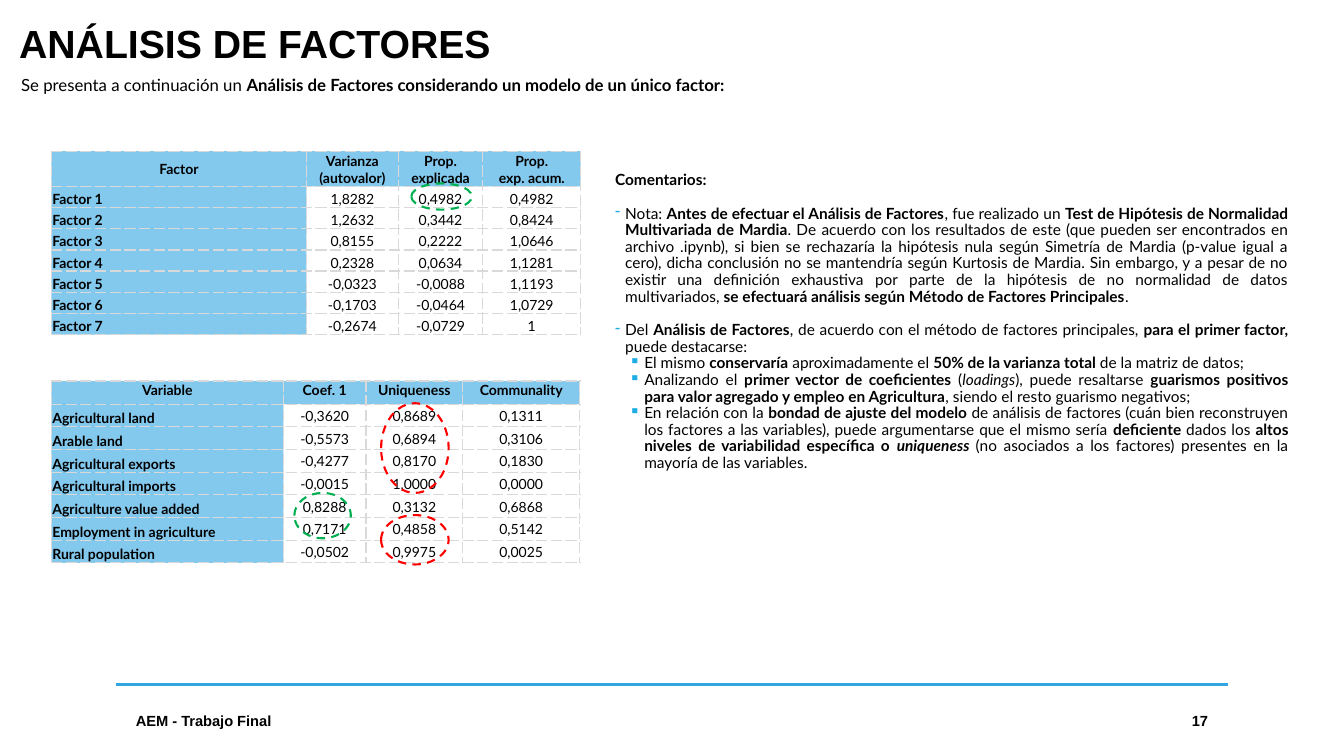
import pptx
import pptx.dml.color
import pptx.enum.dml
import pptx.enum.shapes
import pptx.enum.text
import pptx.oxml
import pptx.oxml.ns
import pptx.util
from lxml import etree

Inches = pptx.util.Inches
Pt = pptx.util.Pt
ALIGN = pptx.enum.text.PP_ALIGN
ANCHOR = pptx.enum.text.MSO_ANCHOR

COLORS = {"text": "000000", "accent": "31A4E2", "bullet": "1CADE4",
          "border": "D9D9D9", "good": "00B050", "bad": "FF0000"}

FACTORS = [
    ["Factor", "Varianza\n(autovalor)", "Prop.\nexplicada", "Prop.\nexp. acum."],
    ["Factor 1", "1,8282", "0,4982", "0,4982"],
    ["Factor 2", "1,2632", "0,3442", "0,8424"],
    ["Factor 3", "0,8155", "0,2222", "1,0646"],
    ["Factor 4", "0,2328", "0,0634", "1,1281"],
    ["Factor 5", "-0,0323", "-0,0088", "1,1193"],
    ["Factor 6", "-0,1703", "-0,0464", "1,0729"],
    ["Factor 7", "-0,2674", "-0,0729", "1"],
]
VARIABLES = [
    ["Variable", "Coef. 1", "Uniqueness", "Communality"],
    ["Agricultural land", "-0,3620", "0,8689", "0,1311"],
    ["Arable land", "-0,5573", "0,6894", "0,3106"],
    ["Agricultural exports", "-0,4277", "0,8170", "0,1830"],
    ["Agricultural imports", "-0,0015", "1,0000", "0,0000"],
    ["Agriculture value added", "0,8288", "0,3132", "0,6868"],
    ["Employment in agriculture", "0,7171", "0,4858", "0,5142"],
    ["Rural population", "-0,0502", "0,9975", "0,0025"],
]

# Marked text: *bold*, _italic_. Each item: level (None is a heading), space before, text
COMMENTS = [
    (None, 0, "*Comentarios:*"),
    (0, 12, "Nota: *Antes de efectuar el Análisis de Factores*, fue realizado un "
     "*Test de Hipótesis de Normalidad Multivariada de Mardia*. De acuerdo con los "
     "resultados de este (que pueden ser encontrados en archivo .ipynb), si bien se "
     "rechazaría la hipótesis nula según Simetría de Mardia (p-value igual a cero), dicha "
     "conclusión no se mantendría según Kurtosis de Mardia. Sin embargo, y a pesar de no "
     "existir una definición exhaustiva por parte de la hipótesis de no normalidad de datos "
     "multivariados, *se efectuará análisis según Método de Factores Principales*."),
    (0, 12, "Del *Análisis de Factores*, de acuerdo con el método de factores principales, "
     "*para el primer factor,* puede destacarse:"),
    (1, 0, "El mismo *conservaría* aproximadamente el *50% de la varianza total *de la "
     "matriz de datos;"),
    (1, 0, "Analizando el *primer vector de coeficientes* (_loadings_), puede resaltarse "
     "*guarismos positivos para valor agregado y empleo en Agricultura*, siendo el resto "
     "guarismo negativos;"),
    (1, 0, "En relación con la *bondad de ajuste del modelo *de análisis de factores (cuán "
     "bien reconstruyen los factores a las variables), puede argumentarse que el mismo sería "
     "*deficiente* dados los *altos niveles de variabilidad específica o _uniqueness _*(no "
     "asociados a los factores) presentes en la mayoría de las variables."),
]
BULLETS = [("-", 0.1, 0.1), ("▪", 0.29, 0.15)]  # character, margin, hanging


def rgb(name):
    return pptx.dml.color.RGBColor.from_string(COLORS[name])


def set_font(paragraph, size, name="Lato", bold=None):
    paragraph.font.size = Pt(size)
    paragraph.font.name = name
    paragraph.font.bold = bold
    paragraph.font.color.rgb = rgb("text")


def add_marked_runs(paragraph, text):
    for bold_index, part in enumerate(text.split("*")):
        for italic_index, piece in enumerate(part.split("_")):
            if piece:
                run = paragraph.add_run()
                run.text = piece
                run.font.bold = bold_index % 2 == 1
                run.font.italic = italic_index % 2 == 1


def add_text_frame(slide, box, inset=None):
    frame = slide.shapes.add_textbox(*map(Inches, box)).text_frame
    frame.word_wrap = True
    if inset is not None:
        frame.margin_left = frame.margin_right = Inches(inset)
        frame.margin_top = frame.margin_bottom = Inches(inset)
    return frame


def add_heading(slide, box):
    left, top, width = box
    title = slide.shapes.title
    title.left, title.top = Inches(left), Inches(top)
    title.width, title.height = Inches(width), Inches(0.57)
    frame = title.text_frame
    frame.text = "ANÁLISIS DE FACTORES"
    frame.vertical_anchor = ANCHOR.TOP
    frame.auto_size = pptx.enum.text.MSO_AUTO_SIZE.SHAPE_TO_FIT_TEXT
    frame.paragraphs[0].alignment = ALIGN.LEFT
    set_font(frame.paragraphs[0], 28, "Arial", True)

    # Introductory line
    frame = add_text_frame(slide, (left + 0.07, top + 0.59, 12.96, 0.28), 0.05)
    paragraph = frame.paragraphs[0]
    paragraph.alignment = ALIGN.JUSTIFY
    paragraph.line_spacing = 0.8
    set_font(paragraph, 12)
    add_marked_runs(paragraph, "Se presenta a continuación un *Análisis de Factores "
                    "considerando un modelo de un único factor:*")


def style_cell(cell, text, is_label, bold, anchor, centered):
    cell.text = text
    cell.vertical_anchor = anchor
    cell.margin_left = cell.margin_right = cell.margin_top = Inches(0.01)
    cell.margin_bottom = 0
    for paragraph in cell.text_frame.paragraphs:
        paragraph.alignment = ALIGN.CENTER if centered else ALIGN.LEFT
        set_font(paragraph, 10, bold=bold)
    properties = cell._tc.get_or_add_tcPr()
    for side in "LRTB":
        properties.append(pptx.oxml.parse_xml(
            f'<a:ln{side} {pptx.oxml.ns.nsdecls("a")} w="12700"><a:solidFill>'
            f'<a:srgbClr val="{COLORS["border"]}"/></a:solidFill>'
            f'<a:prstDash val="sysDash"/></a:ln{side}>'))
    if is_label:
        cell.fill.solid()
        cell.fill.fore_color.rgb = rgb("accent")
        color = properties.find(".//" + pptx.oxml.ns.qn("a:solidFill") + "[last()]")
        color = properties.find(pptx.oxml.ns.qn("a:solidFill"))[0]
        etree.SubElement(color, pptx.oxml.ns.qn("a:alpha"), val="60000")
    else:
        cell.fill.background()


def add_result_table(slide, box, rows, widths, heights, anchors, highlights):
    """heights: header, body; anchors: header, values; highlights: relative to the box."""
    left, top = box
    header_height, body_height = heights
    total_height = header_height + body_height * (len(rows) - 1)
    table = slide.shapes.add_table(len(rows), len(widths), Inches(left), Inches(top),
                                   Inches(sum(widths)), Inches(total_height)).table
    table.first_row = table.horz_banding = False
    for column, width in zip(table.columns, widths):
        column.width = Inches(width)
    for row_index, values in enumerate(rows):
        is_header = row_index == 0
        table.rows[row_index].height = Inches(header_height if is_header else body_height)
        for column_index, value in enumerate(values):
            is_label = is_header or column_index == 0
            anchor = anchors[0] if is_header else anchors[1] if column_index else ANCHOR.BOTTOM
            style_cell(table.cell(row_index, column_index), value, is_label, is_label,
                       anchor, is_header or column_index > 0)

    # Dashed ellipses around notable values
    for x, y, width, height, color in highlights:
        ellipse = slide.shapes.add_shape(
            pptx.enum.shapes.MSO_SHAPE.OVAL, Inches(left + x), Inches(top + y),
            Inches(width), Inches(height))
        ellipse.shadow.inherit = False
        ellipse.fill.background()
        ellipse.line.color.rgb = rgb(color)
        ellipse.line.width = Pt(1.5)
        ellipse.line.dash_style = pptx.enum.dml.MSO_LINE.DASH


def add_bullet(paragraph, level):
    character, margin, hanging = BULLETS[level]
    paragraph.level = level
    properties = paragraph._p.get_or_add_pPr()
    properties.set("marL", str(Inches(margin)))
    properties.set("indent", str(-Inches(hanging)))
    color = etree.SubElement(properties, pptx.oxml.ns.qn("a:buClr"))
    etree.SubElement(color, pptx.oxml.ns.qn("a:srgbClr"), val=COLORS["bullet"])
    etree.SubElement(properties, pptx.oxml.ns.qn("a:buChar"), char=character)


def add_comments(slide, box):
    frame = add_text_frame(slide, box, 0.05)
    for index, (level, space_before, text) in enumerate(COMMENTS):
        paragraph = frame.add_paragraph() if index else frame.paragraphs[0]
        if level is not None:
            add_bullet(paragraph, level)
        paragraph.alignment = ALIGN.JUSTIFY
        paragraph.line_spacing = 0.9
        if space_before:
            paragraph.space_before = Pt(space_before)
        set_font(paragraph, 11)
        add_marked_runs(paragraph, text)


def add_footer(slide, box):
    left, top, width = box
    rule = slide.shapes.add_connector(pptx.enum.shapes.MSO_CONNECTOR.STRAIGHT, Inches(left),
                                      Inches(top), Inches(left + width), Inches(top))
    rule.line.color.rgb = rgb("accent")
    rule.line.width = Pt(2)
    etree.SubElement(rule._element.spPr, pptx.oxml.ns.qn("a:effectLst"))
    for text, x, text_width, alignment in [("AEM - Trabajo Final", 0.1, 4.33, ALIGN.LEFT),
                                           ("17", width - 0.78, 0.68, ALIGN.RIGHT)]:
        frame = add_text_frame(slide, (left + x, top + 0.16, text_width, 0.4))
        frame.vertical_anchor = ANCHOR.MIDDLE
        frame.text = text
        frame.paragraphs[0].alignment = alignment
        set_font(frame.paragraphs[0], 10.5, "Arial", True)


def main():
    presentation = pptx.Presentation()
    presentation.slide_width, presentation.slide_height = Inches(13.33), Inches(7.5)
    slide = presentation.slides.add_slide(presentation.slide_layouts[5])
    add_footer(slide, (1.15, 6.79, 11.03))
    add_heading(slide, (0.09, 0.14, 12.12))
    add_result_table(slide, (0.51, 1.5), FACTORS, [2.53, 0.91, 0.84, 0.97], (0.35, 0.21),
                     (ANCHOR.MIDDLE, ANCHOR.BOTTOM), [(3.57, 0.32, 0.6, 0.26, "good")])
    add_result_table(slide, (0.51, 3.78), VARIABLES, [2.3, 0.82, 0.96, 1.16], (0.23, 0.225),
                     (ANCHOR.TOP, ANCHOR.MIDDLE),
                     [(2.41, 1.11, 0.56, 0.45, "good"), (3.27, 0.22, 0.67, 0.89, "bad"),
                      (3.27, 1.33, 0.67, 0.49, "bad")])
    add_comments(slide, (6.05, 1.66, 6.78, 3.69))
    presentation.save("out.pptx")


if __name__ == "__main__":
    main()
